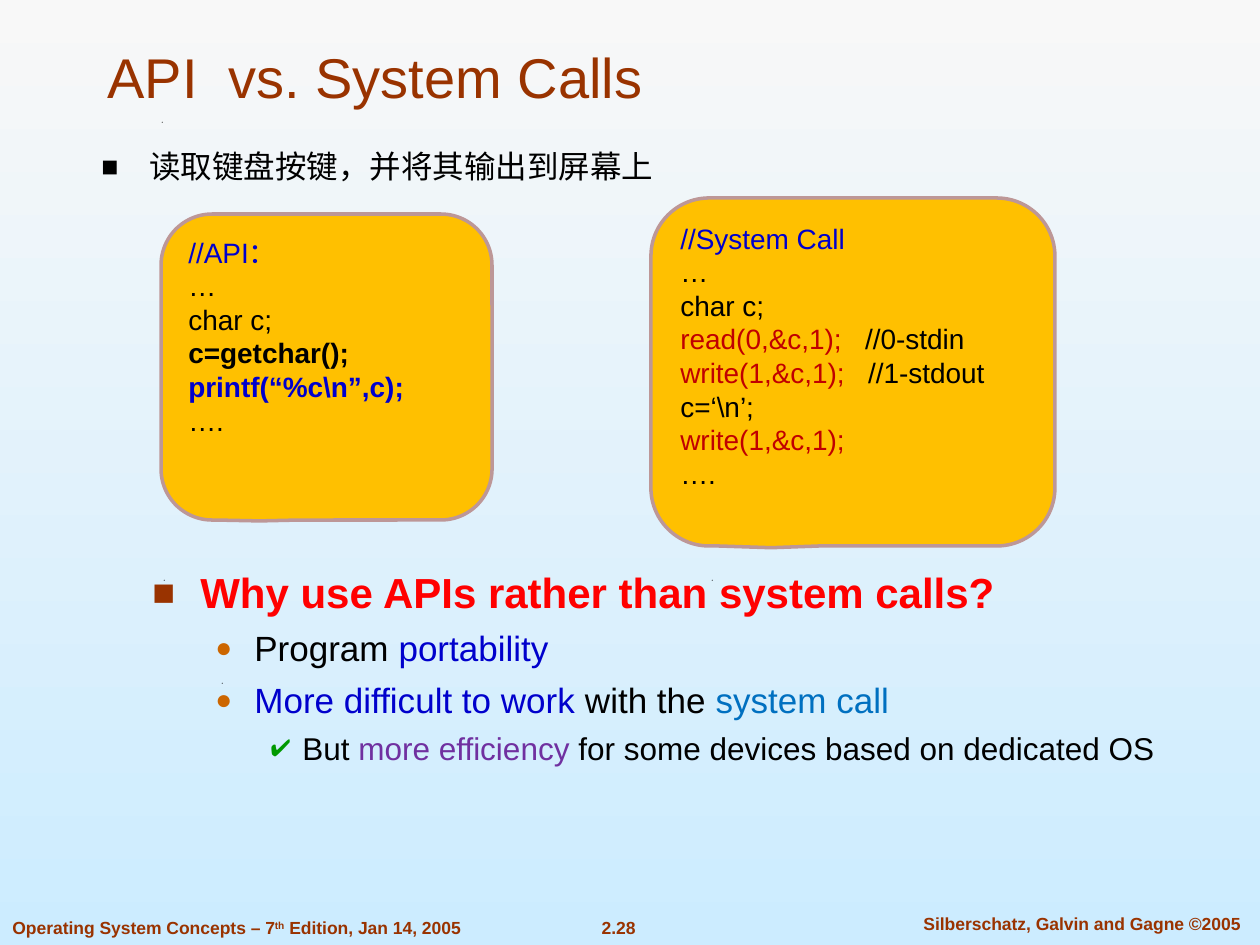
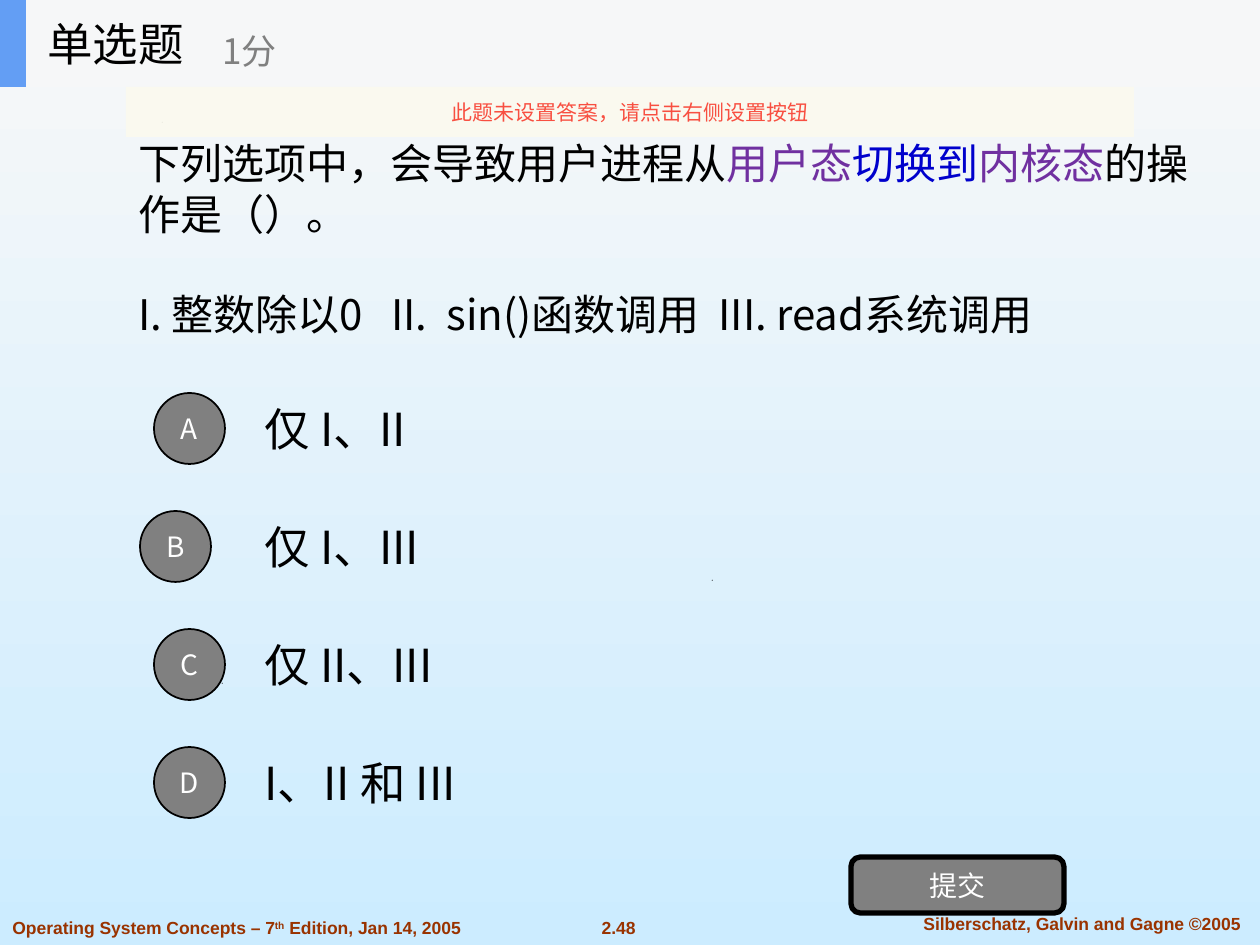
from dataclasses import dataclass

from lxml import etree
from pptx import Presentation
from pptx.dml.color import RGBColor
from pptx.enum.shapes import MSO_SHAPE
from pptx.enum.text import MSO_ANCHOR, PP_ALIGN
from pptx.oxml.ns import qn
from pptx.util import Pt

LEFT, CENTER = PP_ALIGN.LEFT, PP_ALIGN.CENTER
TOP, MIDDLE, BOTTOM = MSO_ANCHOR.TOP, MSO_ANCHOR.MIDDLE, MSO_ANCHOR.BOTTOM
RECT, OVAL, ROUNDED = MSO_SHAPE.RECTANGLE, MSO_SHAPE.OVAL, MSO_SHAPE.ROUNDED_RECTANGLE
CALLOUT = MSO_SHAPE.ROUNDED_RECTANGULAR_CALLOUT
PX = 914400 / 126
SLIDE = (1260, 945)


@dataclass(frozen=True)
class Theme:
    latin: str = "Arial"
    cjk: str = "Noto Sans CJK SC"
    black: str = "000000"
    white: str = "FFFFFF"
    rust: str = "993300"
    orange: str = "CC6600"
    green: str = "009900"
    blue: str = "0000CC"
    sky: str = "0070C0"
    purple: str = "7030A0"
    crimson: str = "C00000"
    red: str = "FF0000"
    amber: str = "FFC000"
    mauve: str = "BD9797"
    gray: str = "808080"
    header: str = "F6F7F8"
    accent: str = "639EF4"
    notice: str = "FBFAEF"
    alert: str = "F84F41"
    backdrop: tuple = ("F8F8F8", "CCECFF")
    title: int = 32
    option: int = 26
    question: int = 24
    points: int = 20
    body: int = 18
    code: int = 16
    small: int = 12
    footer: int = 10


T = Theme()
BLACK, BLUE = {"color": T.black}, {"color": T.blue}
CRIMSON, PURPLE = {"color": T.crimson}, {"color": T.purple}

EDITION = [["Operating System Concepts – 7", ("th", {"raised": 30}), " Edition, Jan 14, 2005"]]
AUTHORS = "Silberschatz, Galvin and Gagne ©2005"
SPECKS = [(222, 683), (164, 580), (712, 580), (162, 122)]

HEADING = "API  vs. System Calls"
TASK = [["读取键盘按键，并将其输出到屏幕上"]]
API_CODE = [
    [("//API：", BLUE)],
    ["…"],
    ["char c;"],
    [("c=getchar();", {"bold": True})],
    [("printf(“%c\\n”,c);", {"color": T.blue, "bold": True})],
    ["…."],
]
SYSCALL_CODE = [
    [("//System Call", BLUE)],
    ["…"],
    ["char c;"],
    [("read(0,&c,1);   ", CRIMSON), "//0-stdin"],
    [("write(1,&c,1);   ", CRIMSON), "//1-stdout"],
    ["c=‘\\n’;"],
    [("write(1,&c,1);", CRIMSON)],
    ["…."],
]
SNIPPETS = [
    ((161, 214, 331, 306), 0.503, API_CODE),
    ((651, 198, 404, 348), 0.505, SYSCALL_CODE),
]
SQUARE = {"mark": "■", "tint": T.rust, "scale": 90, "indent": 48, "hang": 48}
DOT = {"mark": "●", "tint": T.orange, "scale": 80, "indent": 102, "hang": 39}
TICK = {"mark": "✔", "tint": T.green, "scale": 75, "indent": 150, "hang": 32}
REASONS = [
    (T.question, SQUARE,
     [("Why use APIs rather than system calls?", {"color": T.red, "bold": True})]),
    (T.points, DOT, ["Program ", ("portability", BLUE)]),
    (T.points, DOT,
     [("More difficult to work", BLUE), " with the ", ("system call", {"color": T.sky})]),
    (T.body, TICK,
     ["But ", ("more efficiency ", PURPLE), "for some devices based on dedicated OS"]),
]

QUESTION = [
    ["下列选项中，会导致用户进程从", ("用户态", PURPLE), ("切换到", BLUE),
     ("内核态", PURPLE), "的操作是（）。"],
    ["I. 整数除以0   II.  sin()函数调用  III. read系统调用"],
]
OPTIONS = [
    ("A", 154, "仅 I、II"),
    ("B", 140, "仅 I、III"),
    ("C", 154, "仅 II、III"),
    ("D", 154, "I、II 和 III"),
]
OPTION_TOP, OPTION_PITCH, BADGE = 384, 118, 71
KIND, SCORE, SUBMIT = "单选题", "1分", "提交"
WARNING = "此题未设置答案，请点击右侧设置按钮"


def emu(*lengths):
    return [round(length * PX) for length in lengths]


def rgb(code):
    return RGBColor.from_string(code)


def child(parent, tag, **attributes):
    return etree.SubElement(parent, qn(tag), attributes)


def write_run(paragraph, run, size, color, bold, font):
    words, style = (run, {}) if isinstance(run, str) else run
    piece = paragraph.add_run()
    piece.text = words
    piece.font.size = Pt(size)
    piece.font.bold = style.get("bold", bold)
    piece.font.color.rgb = rgb(style.get("color", color))
    piece.font.name = font
    properties = piece.font._element
    child(properties, "a:ea", typeface=T.cjk)
    if "raised" in style:
        properties.set("baseline", str(style["raised"] * 1000))


def write_bullet(paragraph, mark, tint, scale, indent, hang):
    properties = paragraph._p.get_or_add_pPr()
    properties.set("marL", str(emu(indent)[0]))
    properties.set("indent", str(-emu(hang)[0]))
    child(child(properties, "a:buClr"), "a:srgbClr", val=tint)
    child(properties, "a:buSzPct", val=str(scale * 1000))
    child(properties, "a:buFont", typeface=T.latin)
    child(properties, "a:buChar", char=mark)


def write(shape, content, size=T.body, color=T.black, bold=False, font=T.latin,
          align=LEFT, anchor=TOP, leading=None, gap=0, bullet=None, more=False):
    frame = shape.text_frame
    frame.word_wrap = True
    frame.vertical_anchor = anchor
    lines = [[content]] if isinstance(content, str) else content
    for index, line in enumerate(lines):
        follows = more or index > 0
        paragraph = frame.add_paragraph() if follows else frame.paragraphs[0]
        paragraph.alignment = align
        if leading:
            paragraph.line_spacing = leading
        if gap and follows:
            paragraph.space_before = Pt(gap)
        if bullet:
            write_bullet(paragraph, **bullet)
        for run in line:
            write_run(paragraph, run, size, color, bold, font)


def add_text(slide, box, content, **style):
    write(slide.shapes.add_textbox(*emu(*box)), content, **style)


def paint(shape, fill, line=None, weight=1):
    shape.shadow.inherit = False
    shape.fill.solid()
    shape.fill.fore_color.rgb = rgb(fill)
    if line:
        shape.line.color.rgb = rgb(line)
        shape.line.width = Pt(weight)
    else:
        shape.line.fill.background()
    return shape


def add_block(slide, preset, box, fill, line=None, weight=1):
    return paint(slide.shapes.add_shape(preset, *emu(*box)), fill, line, weight)


def add_base(deck, number):
    slide = deck.slides.add_slide(deck.slide_layouts[6])
    for x, y in SPECKS:
        outline = slide.shapes.build_freeform(x, y, scale=PX)
        outline.add_line_segments([(x + 1, y), (x, y + 1)], close=True)
        paint(outline.convert_to_shape(), T.black)
    footer = {"size": T.footer, "color": T.rust, "bold": True}
    add_text(slide, (0, 911, 534, 34), EDITION, **footer)
    add_text(slide, (585, 911, 67, 34), number, align=CENTER, **footer)
    add_text(slide, (895, 907, 374, 34), AUTHORS, align=CENTER, **footer)
    return slide


def build_comparison(deck):
    slide = add_base(deck, "2.28")
    add_text(slide, (95, 32, 1113, 84), HEADING, size=T.title, color=T.rust, anchor=BOTTOM)
    add_text(slide, (89, 145, 1107, 74), TASK, leading=0.9,
             bullet={**SQUARE, "tint": T.black})
    for box, tail, code in SNIPPETS:
        callout = add_block(slide, CALLOUT, box, T.amber, T.mauve, 2)
        for index, value in enumerate((-0.202, tail, 0.167)):
            callout.adjustments[index] = value
        write(callout, code, size=T.code, leading=Pt(T.code * 1.2))
    reasons = slide.shapes.add_textbox(*emu(140, 566, 1120, 217))
    for index, (size, bullet, line) in enumerate(REASONS):
        write(reasons, [line], size=size, bullet=bullet, leading=0.9,
              gap=size * 0.4, more=index > 0)


def build_quiz(deck):
    slide = add_base(deck, "2.48")
    cjk = {"font": T.cjk, "anchor": MIDDLE}
    label = {**cjk, "size": T.code, "color": T.white, "align": CENTER}
    leading = Pt(T.question * 1.2)
    add_text(slide, (126, 91, 1079, 295), QUESTION, size=T.question,
             leading=leading, gap=leading.pt, **cjk)
    for row, (letter, left, answer) in enumerate(OPTIONS):
        top = OPTION_TOP + row * OPTION_PITCH
        add_text(slide, (252, top, 882, 88), answer, size=T.option, **cjk)
        badge = add_block(slide, OVAL, (left, top + 9, BADGE, BADGE), T.gray, T.black)
        write(badge, letter, **label)
    button = add_block(slide, ROUNDED, (851, 857, 213, 56), T.gray, T.black, 3)
    write(button, SUBMIT, **label)
    add_block(slide, RECT, (0, 0, SLIDE[0], 87), T.header)
    add_block(slide, RECT, (0, 0, 26, 87), T.accent)
    add_text(slide, (35, 0, 262, 87), KIND, size=T.option, **cjk)
    add_text(slide, (210, 15, 315, 71), SCORE, size=T.points, color=T.gray, **cjk)
    notice = add_block(slide, RECT, (126, 87, 1008, 50), T.notice)
    tint = notice._element.spPr.find(qn("a:solidFill")).find(qn("a:srgbClr"))
    child(tint, "a:alpha", val="90000")
    write(notice, WARNING, size=T.small, color=T.alert, align=CENTER, **cjk)


def main():
    deck = Presentation()
    deck.slide_width, deck.slide_height = emu(*SLIDE)
    backdrop = deck.slide_master.background.fill
    backdrop.gradient()
    backdrop.gradient_angle = 270
    for stop, color in zip(backdrop.gradient_stops, T.backdrop):
        stop.color.rgb = rgb(color)
    build_comparison(deck)
    build_quiz(deck)
    deck.save("out.pptx")


if __name__ == "__main__":
    main()
